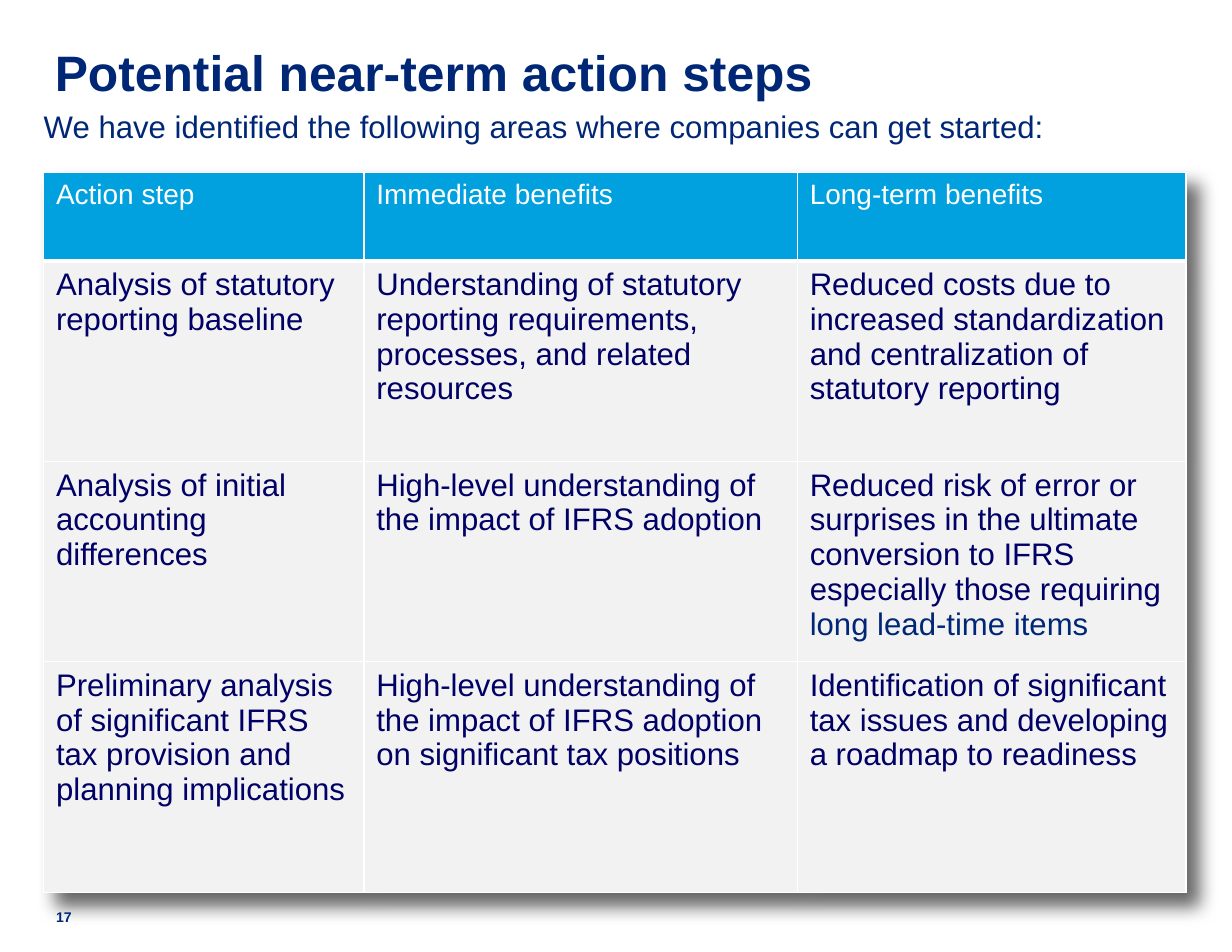
from dataclasses import dataclass

from lxml.etree import SubElement
from pptx import Presentation
from pptx.dml.color import RGBColor
from pptx.oxml import parse_xml
from pptx.oxml.ns import nsdecls, qn
from pptx.util import Emu, Inches, Pt


@dataclass(frozen=True)
class Theme:
    font: str = "Arial"
    navy: str = "002776"
    ink: str = "000066"
    header: str = "00A1DE"
    panel: str = "F2F2F2"
    white: str = "FFFFFF"
    title: int = 32
    body: int = 20
    heading: int = 18
    number: int = 9


@dataclass(frozen=True)
class Box:
    """Left, top, width and height in percent of the slide's size."""
    left: float
    top: float
    width: float
    height: float


@dataclass(frozen=True)
class Label:
    text: str
    box: Box
    size: int
    bold: bool = False
    spacing: dict | None = None


THEME = Theme()
WIDTH, HEIGHT = Inches(11), Inches(8.5)

LABELS = [
    Label("Potential near-term action steps", Box(4.45, 5.06, 92.09, 9.18),
          THEME.title, True, {"line_spacing": Pt(34)}),
    Label("We have identified the following areas where companies can get started:",
          Box(3.55, 11.29, 93, 5.41), THEME.body, False, {"space_after": Pt(3)}),
    Label("17", Box(4.55, 95.29, 3.09, 2.35), THEME.number, True,
          {"line_spacing": Pt(12)}),
]

TABLE_LEFT, TABLE_TOP = 3.55, 18.12
COLUMNS = [26, 35.18, 31.55]
ROWS = [9.29, 21.06, 18.71, 24.24]
HIGHLIGHT = "long lead-time items"
STEPS = [
    ["Action step", "Immediate benefits", "Long-term benefits"],
    ["Analysis of statutory reporting baseline",
     "Understanding of statutory reporting requirements, processes, and related resources",
     "Reduced costs due to increased standardization and centralization of statutory reporting"],
    ["Analysis of initial accounting differences",
     "High-level understanding of the impact of IFRS adoption",
     "Reduced risk of error or surprises in the ultimate conversion to IFRS "
     "especially those requiring " + HIGHLIGHT],
    ["Preliminary analysis of significant IFRS tax provision and planning implications",
     "High-level understanding of the impact of IFRS adoption on significant tax positions",
     "Identification of significant tax issues and developing a roadmap to readiness"],
]


def across(percent: float) -> Emu:
    return Emu(round(WIDTH * percent / 100))


def down(percent: float) -> Emu:
    return Emu(round(HEIGHT * percent / 100))


def place(box: Box) -> tuple[Emu, Emu, Emu, Emu]:
    return across(box.left), down(box.top), across(box.width), down(box.height)


def apply(target, values: dict) -> None:
    for name, value in values.items():
        setattr(target, name, value)


def add_run(p, text: str, size: int, color: str, bold: bool = False) -> None:
    r = p.add_run()
    r.text = text
    apply(r.font, {"name": THEME.font, "size": Pt(size), "bold": bold})
    r.font.color.rgb = RGBColor.from_string(color)


def add_label(s, label: Label) -> None:
    tf = s.shapes.add_textbox(*place(label.box)).text_frame
    apply(tf, {"word_wrap": True, "margin_left": 0, "margin_right": 0,
               "margin_top": 0, "margin_bottom": 0})
    p = tf.paragraphs[0]
    apply(p, label.spacing or {})
    add_run(p, label.text, label.size, THEME.navy, label.bold)


def set_borders(cell, widths: dict[str, int]) -> None:
    """Draw white borders; call before the fill, which must follow them."""
    tc_pr = cell._tc.get_or_add_tcPr()
    for side, width in widths.items():
        line = SubElement(tc_pr, qn(f"a:ln{side}"), w=str(Pt(width)))
        SubElement(SubElement(line, qn("a:solidFill")), qn("a:srgbClr"), val=THEME.white)


def fill_cell(cell, text: str, row: int) -> None:
    is_header = row == 0
    set_borders(cell, {"L": 1, "R": 1, "T": 3 if row == 1 else 1,
                       "B": 3 if is_header else 1})
    cell.fill.solid()
    cell.fill.fore_color.rgb = RGBColor.from_string(
        THEME.header if is_header else THEME.panel)
    apply(cell, {"margin_left": Inches(0.11), "margin_right": Inches(0.11),
                 "margin_top": Inches(0.06), "margin_bottom": Inches(0.06)})
    p = cell.text_frame.paragraphs[0]
    size, color = ((THEME.heading, THEME.white) if is_header
                   else (THEME.body, THEME.ink))
    lead, mark, _ = text.partition(HIGHLIGHT)
    add_run(p, lead, size, color)
    if mark:
        add_run(p, mark, size, THEME.navy)


def add_table_shadow(table) -> None:
    table._tbl.tblPr.insert(0, parse_xml(
        f'<a:effectLst {nsdecls("a")}>'
        f'<a:outerShdw blurRad="{Inches(0.16)}" dist="{Inches(0.16)}" dir="2700000" '
        'algn="tl" rotWithShape="0"><a:srgbClr val="000000"><a:alpha val="60000"/>'
        '</a:srgbClr></a:outerShdw></a:effectLst>'))


def add_steps_table(s) -> None:
    box = Box(TABLE_LEFT, TABLE_TOP, sum(COLUMNS), sum(ROWS))
    table = s.shapes.add_table(len(ROWS), len(COLUMNS), *place(box)).table
    table.horz_banding = False
    for column, width in zip(table.columns, COLUMNS):
        column.width = across(width)
    for i, (row, height) in enumerate(zip(table.rows, ROWS)):
        row.height = down(height)
        for cell, text in zip(row.cells, STEPS[i]):
            fill_cell(cell, text, i)
    add_table_shadow(table)


def main() -> None:
    prs = Presentation()
    apply(prs, {"slide_width": WIDTH, "slide_height": HEIGHT})
    s = prs.slides.add_slide(prs.slide_layouts[6])
    *headings, page_number = LABELS
    for heading in headings:
        add_label(s, heading)
    add_steps_table(s)
    add_label(s, page_number)
    prs.save("out.pptx")


if __name__ == "__main__":
    main()
